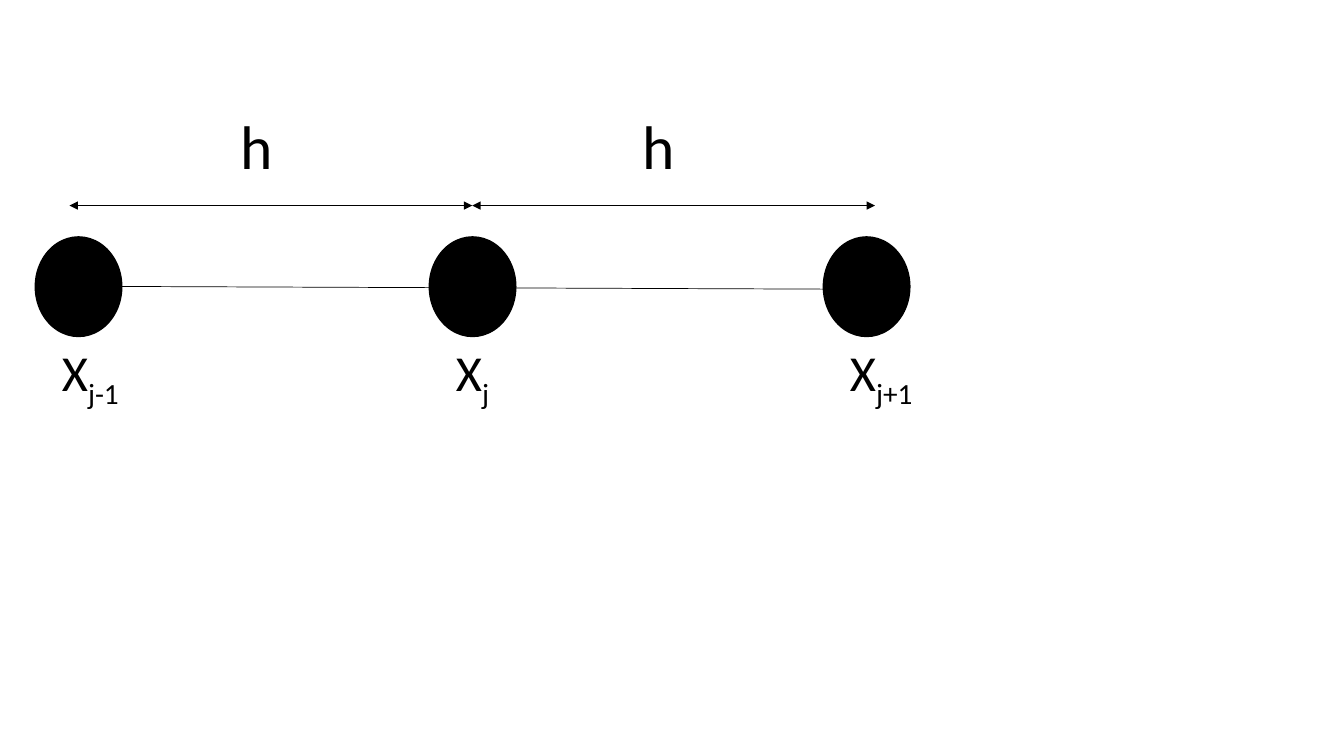
from lxml import etree
from pptx import Presentation
from pptx.dml.color import RGBColor
from pptx.enum.shapes import MSO_CONNECTOR, MSO_SHAPE
from pptx.oxml.ns import qn
from pptx.util import Cm, Pt

STRAIGHT = MSO_CONNECTOR.STRAIGHT
OVAL = MSO_SHAPE.OVAL
BLACK = RGBColor(0, 0, 0)
FONT = "Calibri"


def add_line(slide, x1, y1, x2, y2, arrows=False):
    line = slide.shapes.add_connector(STRAIGHT, Cm(x1), Cm(y1), Cm(x2), Cm(y2))
    line.line.color.rgb = BLACK
    line.line.width = Pt(0.5)
    if arrows:
        outline = line.line._get_or_add_ln()
        for end in ("a:headEnd", "a:tailEnd"):
            etree.SubElement(outline, qn(end), type="triangle")
    etree.SubElement(line._element.spPr, qn("a:effectLst"))


def add_label(slide, left, top, width, height, size, text, subscript=""):
    label = slide.shapes.add_textbox(Cm(left), Cm(top), Cm(width), Cm(height))
    label.text_frame.word_wrap = True
    paragraph = label.text_frame.paragraphs[0]
    paragraph.text = text
    if subscript:
        index = paragraph.add_run()
        index.text = subscript
        index.font._element.set("baseline", "-25000")
    for run in paragraph.runs:
        run.font.name = FONT
        run.font.size = Pt(size)
        run.font.color.rgb = BLACK


def add_node(slide, left, top, width, height, subscript):
    node = slide.shapes.add_shape(OVAL, Cm(left), Cm(top), Cm(width), Cm(height))
    node.shadow.inherit = False
    node.fill.solid()
    node.fill.fore_color.rgb = BLACK
    node.line.color.rgb = BLACK
    node.line.width = Pt(1)
    add_label(slide, left + 0.42, top + height, 5.49, 1.8, 36, "X", subscript)


def add_spacing(slide, left, top, length):
    add_line(slide, left, top + 2.59, left + length, top + 2.59, arrows=True)
    add_label(slide, left + 4.05, top, 11.18, 2.13, 44, "h")


def add_grid_diagram(slide, left, top, width):
    node_width, node_height = 2.18, 2.51
    node_top = top + 3.38
    node_pitch = (width - node_width) / 2
    axis_y = top + 4.62
    spacing = 10.15

    add_line(slide, left, axis_y, left + width - 0.96, axis_y + 0.08)
    for i, subscript in enumerate(("j-1", "j", "j+1")):
        add_node(slide, left + i * node_pitch, node_top,
                 node_width, node_height, subscript)
    for i in range(2):
        add_spacing(slide, left + 0.86 + i * spacing, top, spacing)


presentation = Presentation()
presentation.slide_width = Cm(33.87)
presentation.slide_height = Cm(19.05)
grid_slide = presentation.slides.add_slide(presentation.slide_layouts[6])
add_grid_diagram(grid_slide, 0.89, 2.59, 22.04)
presentation.save("out.pptx")
